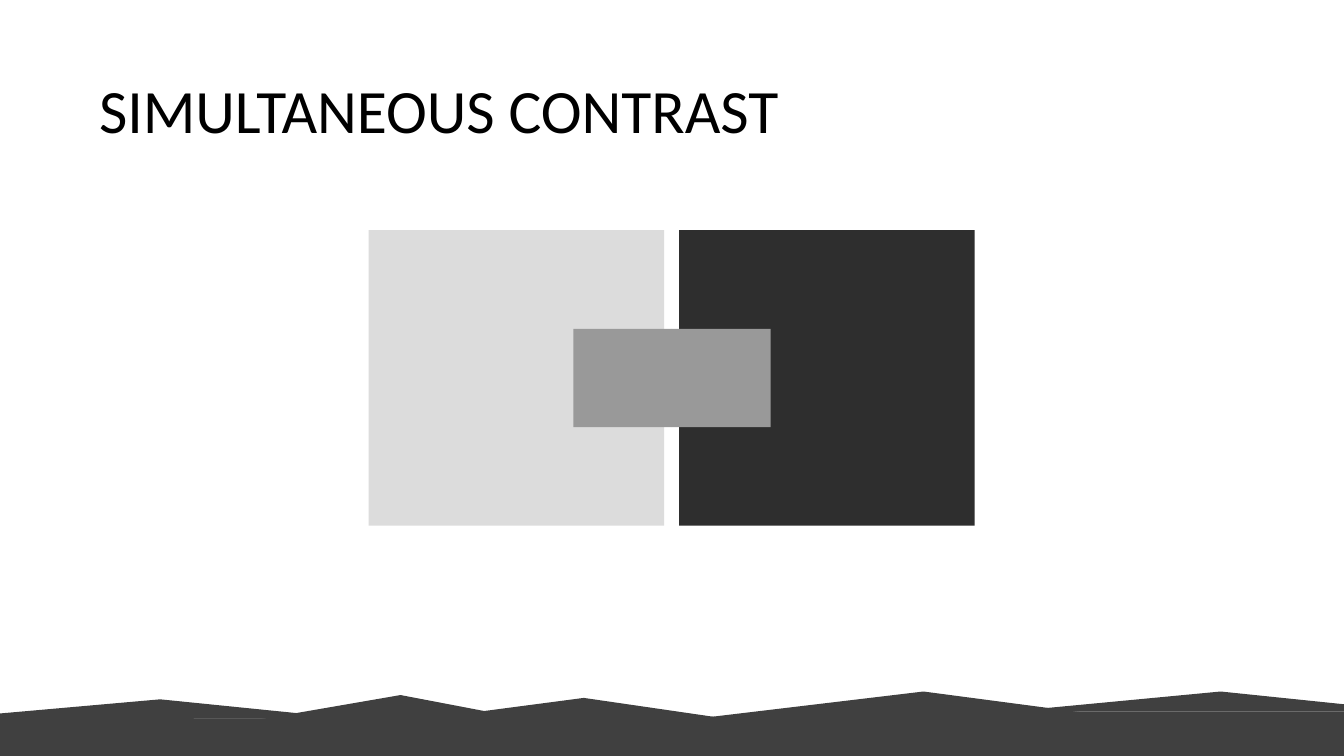
import pptx
import pptx.dml.color
import pptx.enum.shapes
import pptx.enum.text
import pptx.util

Inches = pptx.util.Inches
RGBColor = pptx.dml.color.RGBColor
Preset = pptx.enum.shapes.MSO_SHAPE

WIDTH, HEIGHT = 18.96, 10.67
BLACK = RGBColor(0x00, 0x00, 0x00)
GROUND = RGBColor(0x40, 0x40, 0x40)
LIGHT = RGBColor(0xDC, 0xDC, 0xDC)
DARK = RGBColor(0x2E, 0x2E, 0x2E)
MIDDLE = RGBColor(0x99, 0x99, 0x99)


class ContrastSlide:
    """Draws flat shapes and the title on one page in a shared style."""

    font = "Calibri"
    title_size = 62.6

    def __init__(self, page):
        self.page = page

    def paint(self, shape, color):
        shape.shadow.inherit = False
        shape.fill.solid()
        shape.fill.fore_color.rgb = color
        shape.line.fill.background()

    def rectangle(self, left, top, width, height, color):
        box = self.page.shapes.add_shape(
            Preset.RECTANGLE, *map(Inches, (left, top, width, height)))
        self.paint(box, color)

    def peak(self, left, top, width, height):
        triangle = self.page.shapes.add_shape(
            Preset.ISOSCELES_TRIANGLE, *map(Inches, (left, top, width, height)))
        triangle.adjustments[0] = 0.525
        self.paint(triangle, GROUND)

    def slope(self, points):
        start, *rest = [(Inches(x), Inches(y)) for x, y in points]
        builder = self.page.shapes.build_freeform(*start)
        builder.add_line_segments(rest, close=True)
        self.paint(builder.convert_to_shape(), GROUND)

    def title(self, text, left, top, width, height):
        box = self.page.shapes.add_textbox(
            *map(Inches, (left, top, width, height)))
        frame = box.text_frame
        frame.word_wrap = True
        frame.vertical_anchor = pptx.enum.text.MSO_ANCHOR.MIDDLE
        para = frame.paragraphs[0]
        para.text = text
        para.line_spacing = 0.9
        para.font.name = self.font
        para.font.size = pptx.util.Pt(self.title_size)
        para.font.color.rgb = BLACK


def main():
    deck = pptx.Presentation()
    deck.slide_width = Inches(WIDTH)
    deck.slide_height = Inches(HEIGHT)
    slide = ContrastSlide(deck.slides.add_slide(deck.slide_layouts[6]))

    slide.rectangle(15.03, 10.04, WIDTH - 15.03, HEIGHT - 10.04, GROUND)
    slide.slope([(0, 10.15), (0, 10.07), (2.26, 9.87), (4.93, 10.14)])
    for left, top, width, height in (
        (2.7, 9.81, 5.62, 0.51),
        (5.58, 9.85, 5.06, 0.35),
        (8.76, 9.76, 8.13, 0.51),
    ):
        slide.peak(left, top, width, height)
    slide.slope([(14.27, 10.04), (17.22, 9.76), (WIDTH, 9.94), (WIDTH, 10.04)])
    slide.rectangle(0, 10.14, WIDTH, HEIGHT - 10.14, GROUND)

    center, top, side, gap = 9.48, 3.25, 4.17, 0.21
    patch = side / 3
    first = 5.2
    for column, color in enumerate((LIGHT, DARK)):
        slide.rectangle(first + column * (side + gap), top, side, side, color)
    for column in range(2):
        slide.rectangle(center + (column - 1) * patch, top + patch,
                        patch, patch, MIDDLE)

    slide.title("SIMULTANEOUS CONTRAST", 1.3, 0.57, 16.36, 2.06)
    deck.save("out.pptx")


if __name__ == "__main__":
    main()
